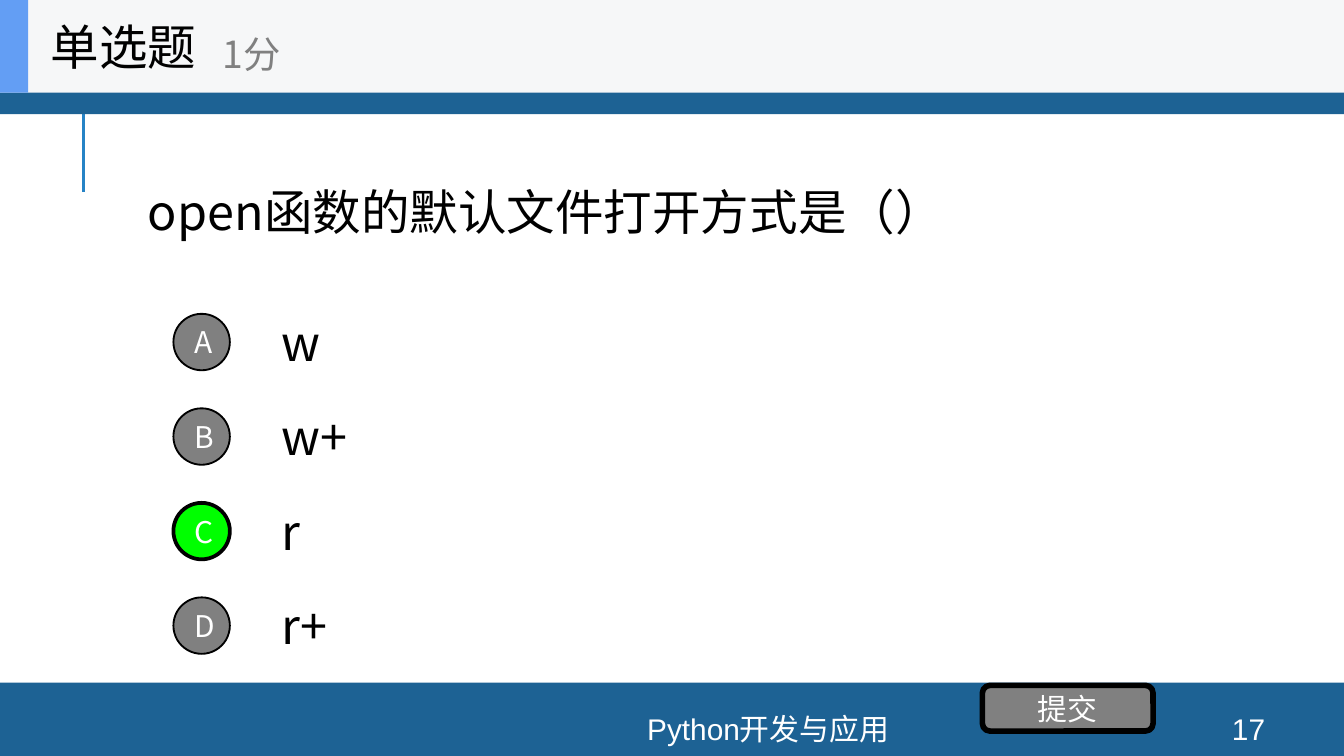
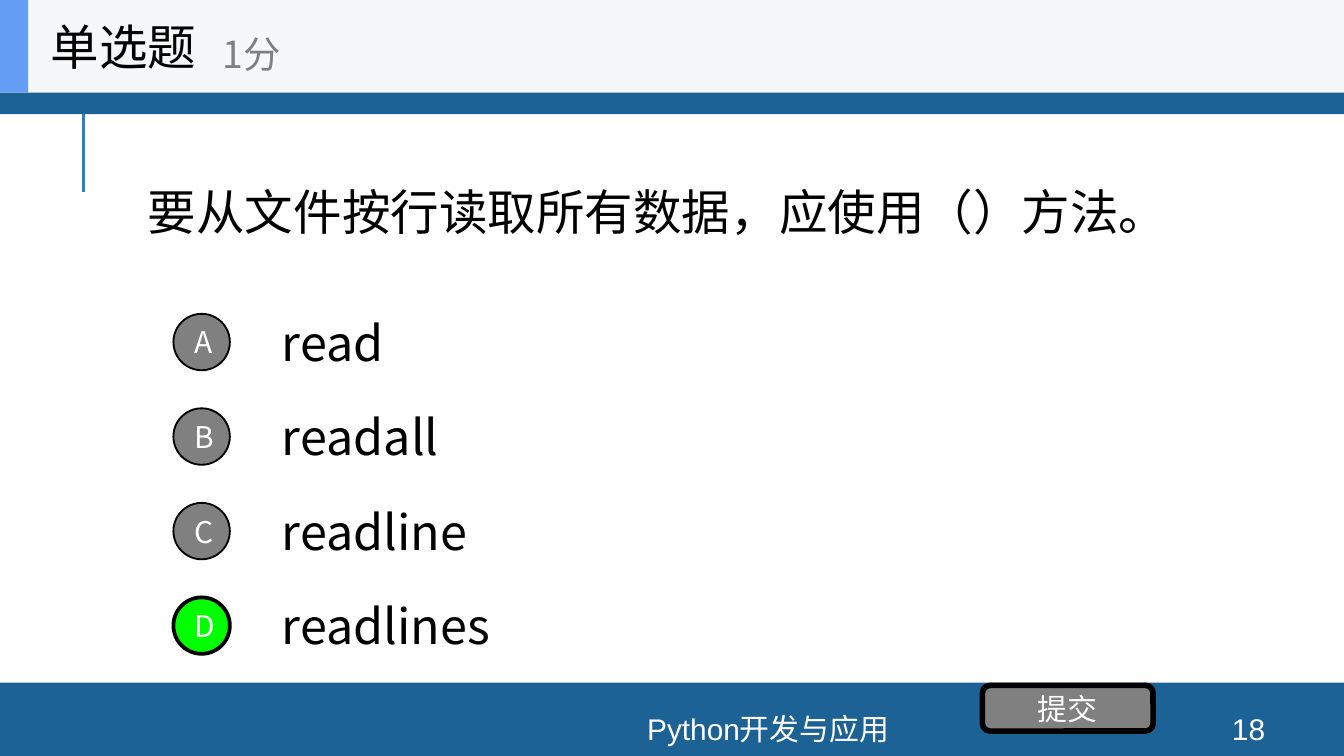
import pptx
from dataclasses import dataclass
from lxml import etree
from pptx.dml.color import RGBColor
from pptx.enum.shapes import MSO_CONNECTOR, MSO_SHAPE
from pptx.enum.text import MSO_ANCHOR, MSO_AUTO_SIZE, PP_ALIGN
from pptx.oxml.ns import qn
from pptx.util import Inches, Pt

QUESTIONS = [
    {"page": 17, "question": "open函数的默认文件打开方式是（）",
     "options": ["w", "w+", "r", "r+"], "answer": "C"},
    {"page": 18, "question": "要从文件按行读取所有数据，应使用（）方法。",
     "options": ["read", "readall", "readline", "readlines"], "answer": "D"},
]
KIND, SCORE = "单选题", "1分"
COURSE, SUBMIT = "Python开发与应用", "提交"


@dataclass(frozen=True)
class Theme:
    band: str = "1D6294"
    rule: str = "2683C6"
    header: str = "F6F7F8"
    accent: str = "639EF4"
    grey: str = "808080"
    correct: str = "00FF00"
    black: str = "000000"
    white: str = "FFFFFF"
    body_font: str = "Noto Sans CJK SC"
    footer_font: str = "Arial"
    large: int = 26
    medium: int = 20
    small: int = 16


THEME = Theme()
SLIDE_W = 10
SLIDE_H = SLIDE_W * 9 / 16
FOOTER_TOP = 5.08
FIRST_OPTION, LAST_OPTION, OPTION_H = 2.28, 4.39, 0.53
BADGE = 0.42


def place(shape, left, top, width, height):
    shape.left, shape.top = Inches(left), Inches(top)
    shape.width, shape.height = Inches(width), Inches(height)


def write(shape, text, size, color, font=THEME.body_font,
          align=PP_ALIGN.LEFT, tight=False):
    """Set one vertically centred paragraph; tight removes the insets."""
    tf = shape.text_frame
    tf.word_wrap = True
    tf.auto_size = MSO_AUTO_SIZE.NONE
    tf.vertical_anchor = MSO_ANCHOR.MIDDLE
    if tight:
        tf.margin_left = tf.margin_right = 0
        tf.margin_top = tf.margin_bottom = 0
    p = tf.paragraphs[0]
    p.text = text
    p.alignment = align
    p.font.size = Pt(size)
    p.font.color.rgb = RGBColor.from_string(color)
    p.font.name = font
    latin = p._p.find(".//" + qn("a:latin"))
    east_asian = etree.Element(qn("a:ea"), typeface=THEME.body_font)
    latin.addnext(east_asian)


def add_text(s, box, text, size, color, **style):
    tb = s.shapes.add_textbox(*map(Inches, box))
    write(tb, text, size, color, **style)


def add_block(s, box, fill, kind=MSO_SHAPE.RECTANGLE, line=0):
    sp = s.shapes.add_shape(kind, *map(Inches, box))
    sp.shadow.inherit = False
    sp.fill.solid()
    sp.fill.fore_color.rgb = RGBColor.from_string(fill)
    if line:
        sp.line.color.rgb = RGBColor.from_string(THEME.black)
        sp.line.width = Pt(line)
    else:
        sp.line.fill.background()
    return sp


def add_button(s, box, text, fill, kind, line):
    sp = add_block(s, box, fill, kind, line)
    write(sp, text, THEME.small, THEME.white, align=PP_ALIGN.CENTER)


def add_frame(s, page):
    """Draw the bands, header and footer shared by every question."""
    rule = s.shapes.add_connector(MSO_CONNECTOR.STRAIGHT, Inches(0.62),
                                  Inches(1.43), Inches(0.62), Inches(0.68))
    rule.line.color.rgb = RGBColor.from_string(THEME.rule)
    rule.line.width = Pt(1.5)
    etree.SubElement(rule._element.spPr, qn("a:effectLst"))

    add_block(s, (0, FOOTER_TOP, SLIDE_W, SLIDE_H - FOOTER_TOP), THEME.band)
    add_block(s, (0, -0.03, SLIDE_W, 0.88), THEME.band)
    add_block(s, (0, 0, SLIDE_W, 0.69), THEME.header)
    add_block(s, (0, 0, 0.21, 0.69), THEME.accent)
    add_text(s, (0.28, 0, 2.08, 0.69), KIND, THEME.large, THEME.black)
    add_text(s, (1.56, 0.12, 2.5, 0.56), SCORE, THEME.medium, THEME.grey)

    for left, width, text in ((2.61, 6.21, COURSE), (8.89, 0.8, str(page))):
        add_text(s, (left, 5.31, width, 0.23), text, THEME.small, THEME.white,
                 font=THEME.footer_font, align=PP_ALIGN.CENTER, tight=True)
    add_button(s, (7.31, 5.1, 1.27, 0.34), SUBMIT, THEME.grey,
               MSO_SHAPE.ROUNDED_RECTANGLE, 3)


def add_options(s, options, answer):
    pitch = (LAST_OPTION - FIRST_OPTION) / (len(options) - 1)
    for i, (letter, option) in enumerate(zip("ABCD", options)):
        top = FIRST_OPTION + i * pitch
        add_text(s, (2, top, 7, OPTION_H), option, THEME.large, THEME.black)
        fill, line = (THEME.correct, 2) if letter == answer else (THEME.grey, 1)
        badge_top = top + (OPTION_H - BADGE) / 2
        add_button(s, (1.29, badge_top, BADGE, BADGE), letter, fill,
                   MSO_SHAPE.OVAL, line)


def main():
    prs = pptx.Presentation()
    prs.slide_width, prs.slide_height = Inches(SLIDE_W), Inches(SLIDE_H)
    title_only = prs.slide_layouts[5]
    for item in QUESTIONS:
        s = prs.slides.add_slide(title_only)
        place(s.shapes.title, 1, 0.69, 8, 1.76)
        write(s.shapes.title, item["question"], THEME.large, THEME.black)
        add_frame(s, item["page"])
        add_options(s, item["options"], item["answer"])
    prs.save("out.pptx")


if __name__ == "__main__":
    main()
